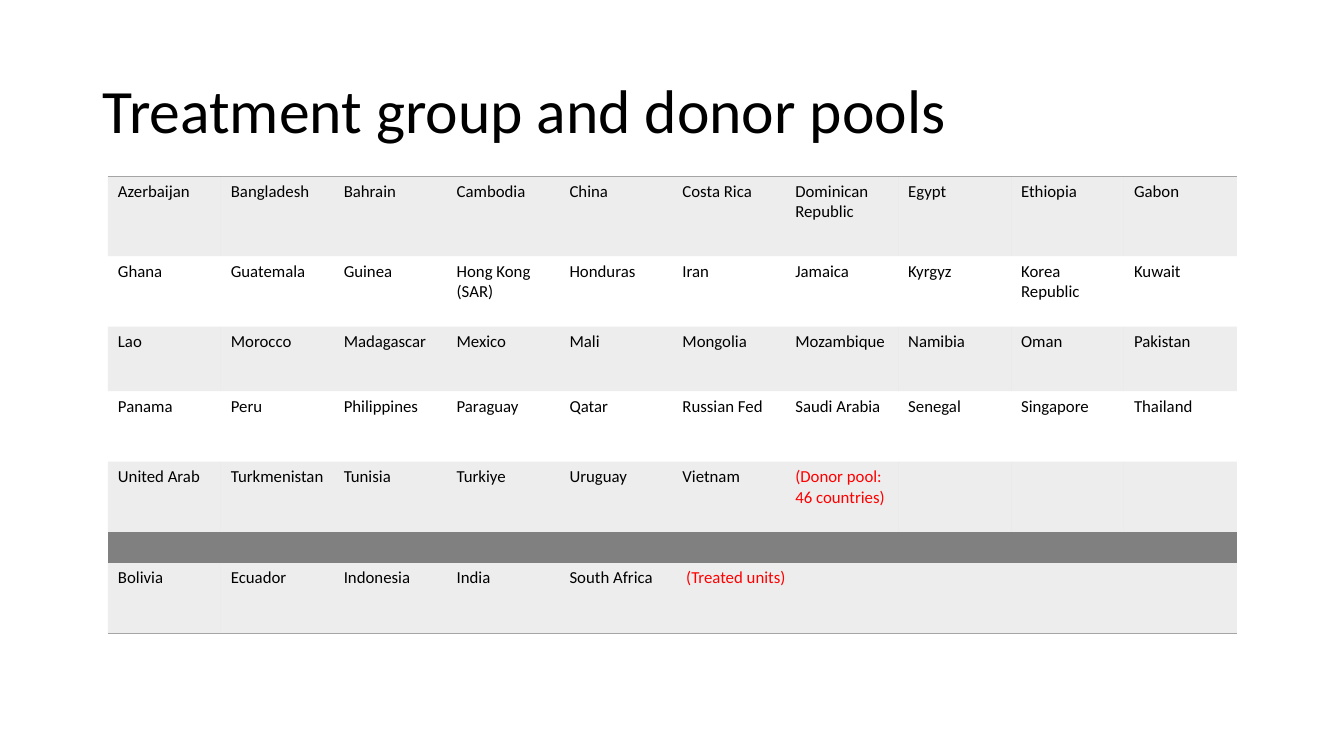
from dataclasses import dataclass

from lxml import etree
from pptx import Presentation
from pptx.dml.color import RGBColor
from pptx.enum.text import MSO_ANCHOR, PP_ALIGN
from pptx.oxml.ns import qn
from pptx.util import Inches, Pt

MIDDLE = MSO_ANCHOR.MIDDLE
LEFT = PP_ALIGN.LEFT
TITLE_ONLY_LAYOUT = 5
PLAIN_TABLE_STYLE = "{2D5ABB26-0587-4C30-8999-92F81FD0307C}"


@dataclass(frozen=True)
class Theme:
    """Colours, font and type sizes of the slide."""
    font: str = "Calibri"
    text: str = "000000"
    note: str = "FF0000"
    band: str = "A5A5A5"
    band_opacity: int = 20
    divider: str = "808080"
    title_size: int = 44
    cell_size: int = 12
    rule_width: int = 1


THEME = Theme()

DONOR_ROWS = [
    ["Azerbaijan", "Bangladesh", "Bahrain", "Cambodia", "China", "Costa Rica",
     "Dominican Republic", "Egypt", "Ethiopia", "Gabon"],
    ["Ghana", "Guatemala", "Guinea", "Hong Kong (SAR)", "Honduras", "Iran",
     "Jamaica", "Kyrgyz", "Korea Republic", "Kuwait"],
    ["Lao", "Morocco", "Madagascar", "Mexico", "Mali", "Mongolia",
     "Mozambique", "Namibia", "Oman", "Pakistan"],
    ["Panama", "Peru", "Philippines", "Paraguay", "Qatar", "Russian Fed",
     "Saudi Arabia", "Senegal", "Singapore", "Thailand"],
    ["United Arab", "Turkmenistan", "Tunisia", "Turkiye", "Uruguay", "Vietnam",
     "(Donor pool: 46 countries)"],
]
TREATED_ROW = ["Bolivia", "Ecuador", "Indonesia", "India", "South Africa",
               " (Treated units)"]
COUNTRY_ROWS = DONOR_ROWS + [[], TREATED_ROW]
ROW_HEIGHTS = [0.79, 0.7, 0.64, 0.7, 0.7, 0.3, 0.7]
COLUMN_COUNT = 10
DIVIDER_ROW = len(DONOR_ROWS)
TREATED_INDEX = DIVIDER_ROW + 1


def format_runs(paragraph, size, color):
    """Give every run of a paragraph the theme font, a size and a colour."""
    for run in paragraph.runs:
        run.font.name = THEME.font
        run.font.size = Pt(size)
        run.font.color.rgb = RGBColor.from_string(color)


def fill_cell(cell, color, opacity=100):
    """Fill a cell with a colour, see-through when opacity is below 100."""
    cell.fill.solid()
    cell.fill.fore_color.rgb = RGBColor.from_string(color)
    if opacity < 100:
        color_element = cell._tc.tcPr.find(".//" + qn("a:srgbClr"))
        etree.SubElement(color_element, qn("a:alpha"), val=str(opacity * 1000))


def add_rule(cell, side):
    """Draw a border on one side of a cell: lnT for top, lnB for bottom."""
    line = etree.Element(qn("a:" + side), w=str(Pt(THEME.rule_width)))
    solid_fill = etree.SubElement(line, qn("a:solidFill"))
    etree.SubElement(solid_fill, qn("a:srgbClr"), val=THEME.band)
    cell._tc.get_or_add_tcPr().insert(0, line)


def add_title(slide, left, top, width, height):
    """Place and format the title placeholder."""
    title = slide.shapes.title
    title.left, title.top, title.width, title.height = left, top, width, height
    title.text_frame.text = "Treatment group and donor pools"
    title.text_frame.vertical_anchor = MIDDLE
    paragraph = title.text_frame.paragraphs[0]
    paragraph.alignment = LEFT
    paragraph.line_spacing = 0.9
    format_runs(paragraph, THEME.title_size, THEME.text)


def add_country_table(slide, left, top, width, height):
    """Add the donor pool rows, the divider and the treated units."""
    frame = slide.shapes.add_table(len(COUNTRY_ROWS), COLUMN_COUNT,
                                   left, top, width, height)
    table = frame.table
    table.first_row = table.horz_banding = False
    table._tbl.tblPr.find(qn("a:tableStyleId")).text = PLAIN_TABLE_STYLE

    for row_index, names in enumerate(COUNTRY_ROWS):
        table.rows[row_index].height = Inches(ROW_HEIGHTS[row_index])
        for column_index in range(COLUMN_COUNT):
            cell = table.cell(row_index, column_index)
            if row_index == DIVIDER_ROW:
                fill_cell(cell, THEME.divider)
                cell.margin_top = cell.margin_bottom = 0
            elif row_index % 2 == 0:
                fill_cell(cell, THEME.band, THEME.band_opacity)
            if row_index == 0:
                add_rule(cell, "lnT")
            elif row_index == TREATED_INDEX:
                add_rule(cell, "lnB")
            if column_index < len(names):
                name = names[column_index]
                cell.text_frame.text = name
                is_note = name.strip().startswith("(")
                format_runs(cell.text_frame.paragraphs[0], THEME.cell_size,
                            THEME.note if is_note else THEME.text)

    last_column = COLUMN_COUNT - 1
    table.cell(DIVIDER_ROW, 0).merge(table.cell(DIVIDER_ROW, last_column))
    note_column = len(TREATED_ROW) - 1
    table.cell(TREATED_INDEX, note_column).merge(
        table.cell(TREATED_INDEX, last_column))


def build_slide(presentation):
    """Build the slide from its title and its country table."""
    layout = presentation.slide_layouts[TITLE_ONLY_LAYOUT]
    slide = presentation.slides.add_slide(layout)
    add_title(slide, Inches(0.92), Inches(0.4), Inches(11.5), Inches(1.45))
    add_country_table(slide, Inches(1.07), Inches(1.75),
                      Inches(11.2), Inches(sum(ROW_HEIGHTS)))


presentation = Presentation()
presentation.slide_width = Inches(13.33)
presentation.slide_height = Inches(7.5)
build_slide(presentation)
presentation.save("out.pptx")
